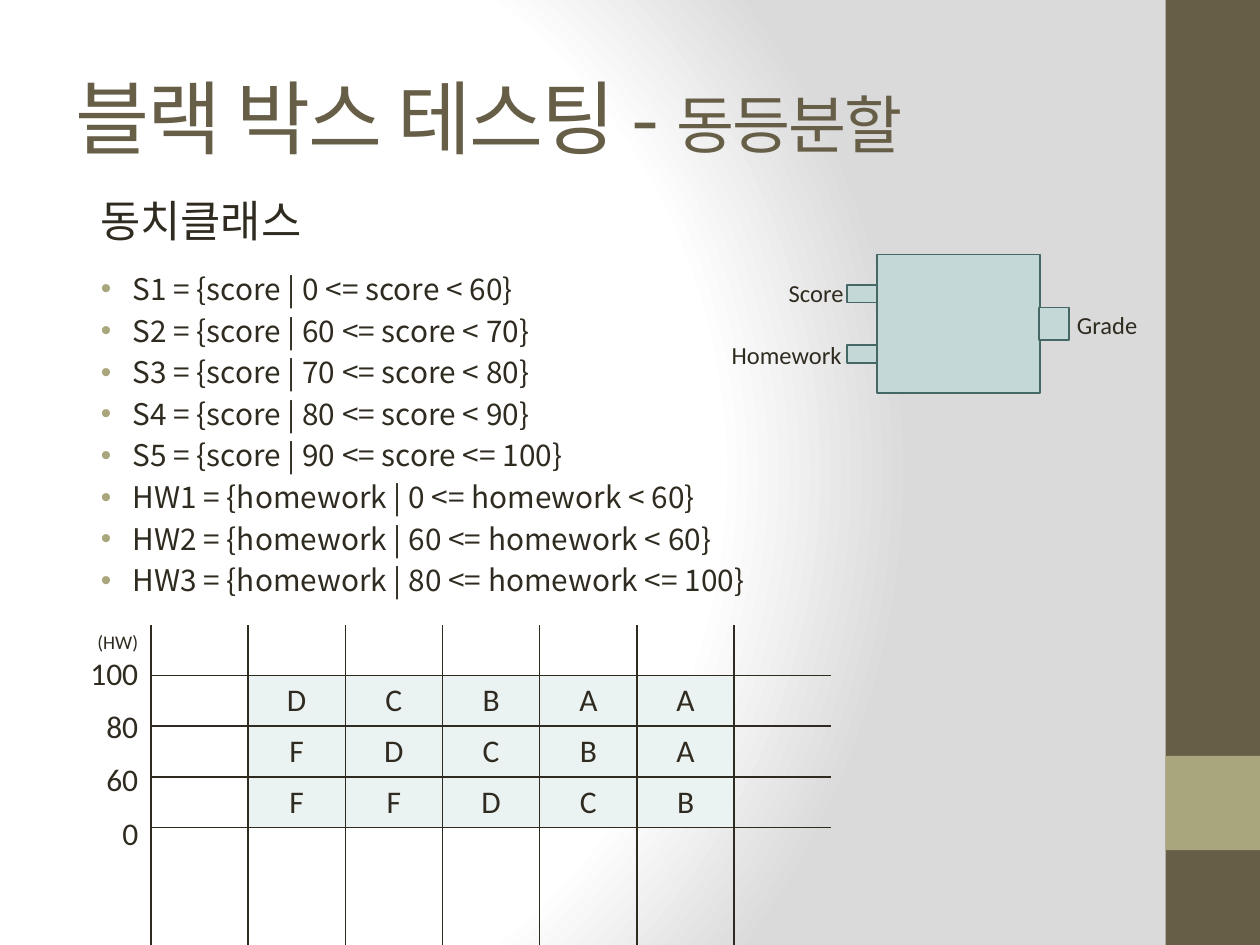
from lxml.etree import SubElement
from pptx import Presentation
from pptx.dml.color import RGBColor
from pptx.enum.shapes import MSO_SHAPE as Shape
from pptx.enum.text import MSO_ANCHOR as Anchor, MSO_AUTO_SIZE as AutoSize, PP_ALIGN as Align
from pptx.oxml import parse_xml
from pptx.oxml.ns import nsdecls, qn
from pptx.util import Cm, Pt

INK, BROWN, OLIVE = "2F2B20", "675E47", "A9A57C"
BOX_FILL, BOX_LINE, GRADE_FILL = "C4D8D7", "456867", "EBF2F2"
KOREAN, LATIN = "Noto Sans CJK KR", "Calibri"

CLASSES = [
    "S1 = {score | 0 <= score < 60}",
    "S2 = {score | 60 <= score < 70}",
    "S3 = {score | 70 <= score < 80}",
    "S4 = {score | 80 <= score < 90}",
    "S5 = {score | 90 <= score <= 100}",
    "HW1 = {homework | 0 <= homework < 60}",
    "HW2 = {homework | 60 <= homework < 60}",
    "HW3 = {homework | 80 <= homework <= 100}",
]
GRADES = ["DCBAA", "FDCBA", "FFDCB"]
HOMEWORK_LIMITS = ["(HW)", "100", "80", "60", "0"]


def rgb(hex_color):
    return RGBColor.from_string(hex_color)


def place(shape, left, top, width, height):
    shape.left, shape.top, shape.width, shape.height = map(Cm, (left, top, width, height))


def style_runs(paragraph, size, font=LATIN, color=INK):
    for run in paragraph.runs:
        run.font.size = Pt(size)
        run.font.name = font
        run.font.color.rgb = rgb(color)
        SubElement(run.font._element, qn("a:ea"), typeface=font)


def set_background(slide):
    stops = "".join(
        f'<a:gs pos="{position}000"><a:srgbClr val="{color}"/></a:gs>'
        for position, color in ((0, "FFFFFF"), (75, "FFFFFF"), (100, "DADADA"))
    )
    slide.element.cSld.insert(0, parse_xml(
        f'<p:bg {nsdecls("p", "a")}><p:bgPr><a:gradFill rotWithShape="1">'
        f'<a:gsLst>{stops}</a:gsLst><a:path path="circle">'
        '<a:fillToRect l="20000" t="50000" r="100000" b="50000"/></a:path>'
        '</a:gradFill><a:effectLst/></p:bgPr></p:bg>'
    ))


def add_rect(shapes, position, fill, line=None):
    rect = shapes.add_shape(Shape.RECTANGLE, *map(Cm, position))
    rect.shadow.inherit = False
    rect.fill.solid()
    rect.fill.fore_color.rgb = rgb(fill)
    if line:
        rect.line.color.rgb = rgb(line)
        rect.line.width = Pt(1)
    else:
        rect.line.fill.background()


def add_label(shapes, text, position, wrap=True):
    label = shapes.add_textbox(*map(Cm, position))
    label.text_frame.word_wrap = wrap
    label.text_frame.text = text
    style_runs(label.text_frame.paragraphs[0], 14)


def fill_title(title):
    place(title, 1.27, 0.76, 21.16, 3.18)
    title.text_frame.auto_size = AutoSize.NONE
    title.text_frame.vertical_anchor = Anchor.MIDDLE
    heading = title.text_frame.paragraphs[0]
    heading.alignment = Align.LEFT
    for text, size in (("블랙 박스 테스팅 - ", 46), ("동등분할", 36)):
        run = heading.add_run()
        run.text = text
        style_runs(heading, size, KOREAN, BROWN) if size == 46 else None
    topic = heading.runs[1]
    topic.font.size, topic.font.name = Pt(36), KOREAN
    topic.font.color.rgb = rgb(BROWN)
    SubElement(topic.font._element, qn("a:ea"), typeface=KOREAN)
    for run in heading.runs:
        run.font._element.set("spc", "-100")


def set_bullet(paragraph, left, hanging=0.0):
    props = paragraph._p.get_or_add_pPr()
    props.set("marL", str(Cm(left)))
    props.set("indent", str(-Cm(hanging)))
    if hanging:
        SubElement(SubElement(props, qn("a:buClr")), qn("a:srgbClr"), val=OLIVE)
        SubElement(props, qn("a:buFont"), typeface="Arial")
        SubElement(props, qn("a:buChar"), char="•")
    else:
        SubElement(props, qn("a:buNone"))


def fill_classes(body):
    place(body, 1.47, 3.73, 21.16, 13.34)
    frame = body.text_frame
    frame.auto_size = AutoSize.NONE
    frame.text = "\n".join(["동치클래스", *CLASSES])
    heading, *class_lines = frame.paragraphs
    heading.space_before, heading.space_after = Pt(0), Pt(10.5)
    heading.line_spacing = Pt(31.5)
    set_bullet(heading, 0.3)
    style_runs(heading, 25, KOREAN)
    for line in class_lines:
        line.space_before, line.line_spacing = Pt(3.4), Pt(20.4)
        set_bullet(line, 0.95, 0.64)
        style_runs(line, 17, KOREAN)


def add_black_box(slide):
    parts = slide.shapes.add_group_shape().shapes
    for position in (
        (17.68, 5.13, 3.28, 2.79),  # box
        (17.07, 5.74, 0.61, 0.36),  # score input
        (17.07, 6.96, 0.61, 0.36),  # homework input
        (20.94, 6.2, 0.61, 0.66),   # grade output
    ):
        add_rect(parts, position, BOX_FILL, BOX_LINE)
    add_label(parts, "Score", (15.65, 5.49, 1.63, 0.86), wrap=False)
    add_label(parts, "Homework", (14.5, 6.73, 2.82, 0.86))
    add_label(parts, "Grade", (21.46, 6.12, 1.78, 0.86))


def set_borders(cell, shown):
    props = cell._tc.get_or_add_tcPr()
    for index, side in enumerate("LRTB"):
        paint = (f'<a:solidFill><a:srgbClr val="{INK}"/></a:solidFill>'
                 if side in shown else "<a:noFill/>")
        props.insert(index, parse_xml(
            f'<a:ln{side} {nsdecls("a")} w="12700">{paint}</a:ln{side}>'))


def add_grade_table(slide):
    row_count, column_count = 5, 8
    frame = slide.shapes.add_table(
        row_count, column_count, Cm(1.47), Cm(12.6), Cm(15.25), Cm(6.45))
    table = frame.table
    table.first_row = table.horz_banding = False
    table._tbl.tblPr.find(qn("a:tableStyleId")).text = "{2D5ABB26-0587-4C30-8999-92F81FD0307C}"
    for index, column in enumerate(table.columns):
        column.width = Cm(1.96 if index else 1.57)
    for index, row in enumerate(table.rows):
        row.height = Cm(1.02 if index < row_count - 1 else 2.37)

    # Lines between cells only; the outer edges stay open
    for r in range(row_count):
        for c in range(column_count):
            cell = table.cell(r, c)
            sides = "R" if c == 0 else "L"
            if 0 < c < column_count - 1:
                sides += "R"
            if c and r:
                sides += "T"
            if c and r < row_count - 1:
                sides += "B"
            cell.fill.background()
            set_borders(cell, sides)

    # Grades
    for r, grades in enumerate(GRADES, 1):
        for c, grade in enumerate(grades, 1):
            cell = table.cell(r, c + 1)
            cell.fill.solid()
            cell.fill.fore_color.rgb = rgb(GRADE_FILL)
            cell.text_frame.text = grade
            cell.text_frame.paragraphs[0].alignment = Align.CENTER
            style_runs(cell.text_frame.paragraphs[0], 18)

    # Homework axis
    axis = table.cell(0, 0)
    axis.merge(table.cell(row_count - 1, 0))
    axis.text_frame.text = "\n".join(HOMEWORK_LIMITS)
    for index, limit in enumerate(axis.text_frame.paragraphs):
        limit.alignment = Align.RIGHT
        limit.space_before = Pt(8.5 if index > 1 else 0)
        style_runs(limit, 18 if index else 11)


def main():
    deck = Presentation()
    deck.slide_width, deck.slide_height = Cm(25.4), Cm(19.05)
    slide = deck.slides.add_slide(deck.slide_layouts[1])
    set_background(slide)
    # Side band
    add_rect(slide.shapes, (23.5, 0, 1.9, 19.05), BROWN)
    add_rect(slide.shapes, (23.5, 15.24, 1.9, 1.9), OLIVE)
    fill_title(slide.shapes.title)
    fill_classes(slide.placeholders[1])
    add_black_box(slide)
    add_grade_table(slide)
    deck.save("out.pptx")


if __name__ == "__main__":
    main()
